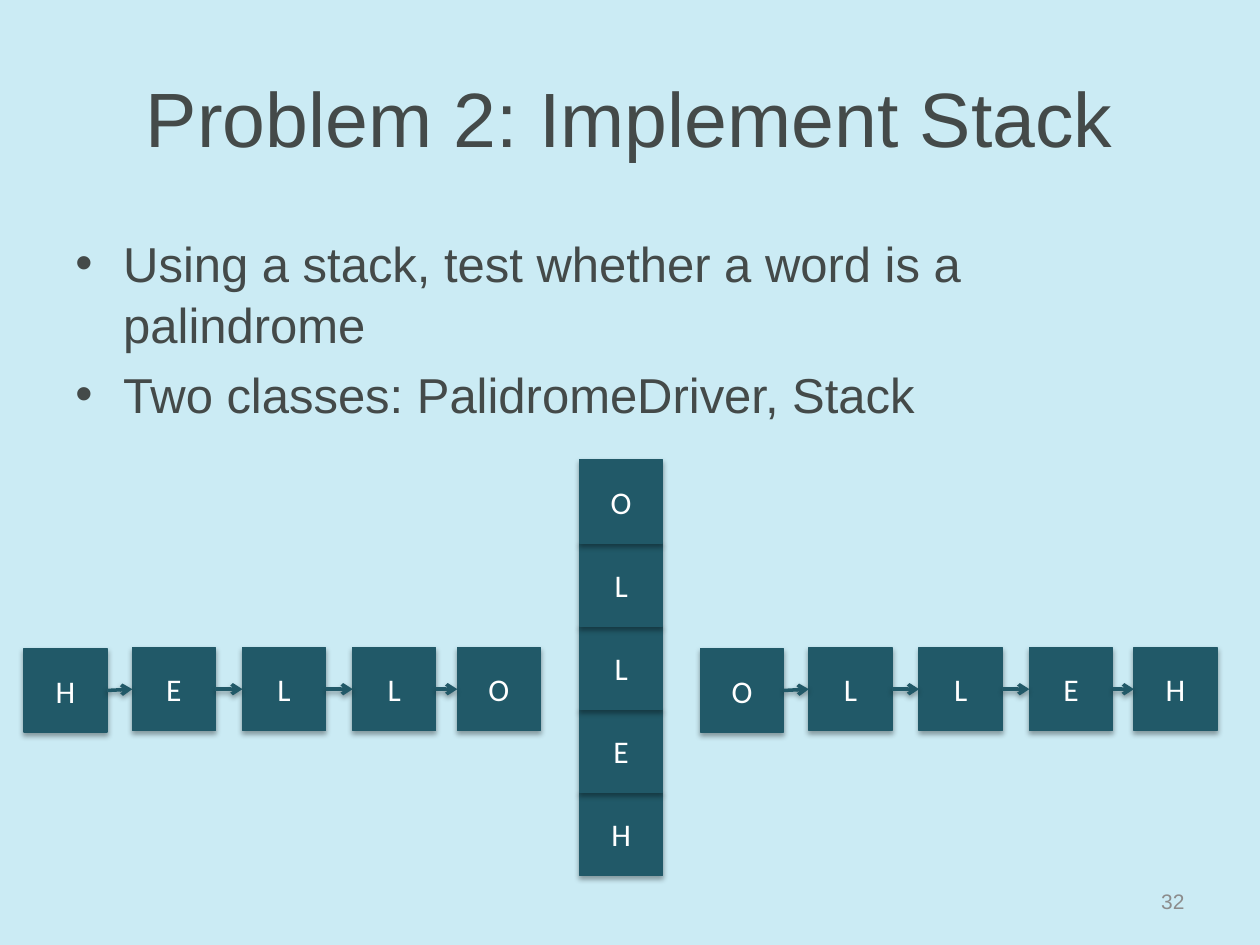
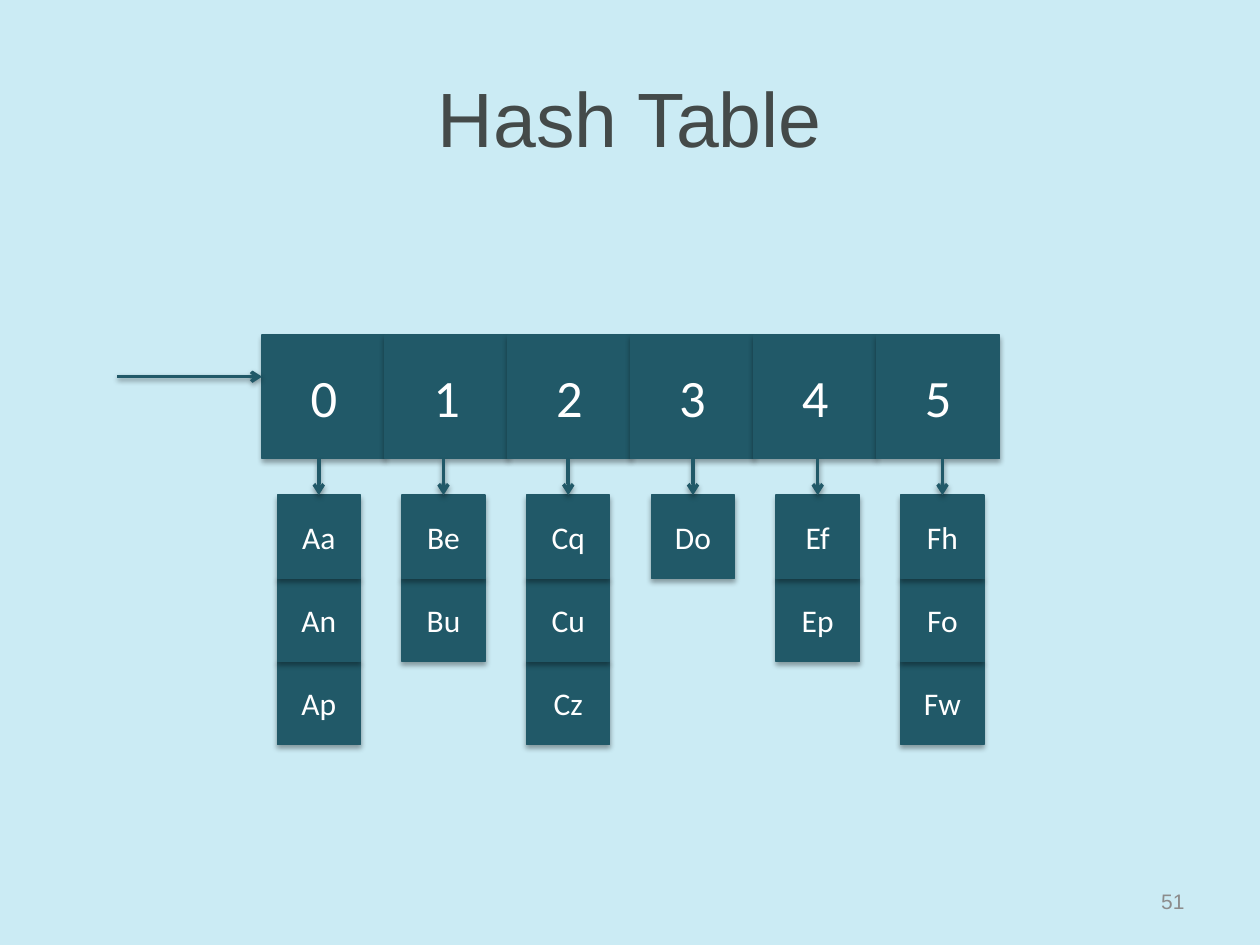
from dataclasses import dataclass
from itertools import pairwise

from lxml.etree import SubElement
from pptx import Presentation
from pptx.dml.color import RGBColor
from pptx.enum.shapes import MSO_CONNECTOR as Link, MSO_SHAPE as Form
from pptx.enum.text import MSO_ANCHOR as Anchor, PP_ALIGN as Align
from pptx.oxml.ns import qn
from pptx.shapes.autoshape import Shape
from pptx.slide import Slide
from pptx.text.text import TextFrame
from pptx.util import Inches, Pt

WIDE, HIGH = Inches(10), Inches(7.5)
COLS, ROWS = 100, 75
SKY, TEAL, INK, GREY, WHITE, BLACK = (
    "CBEBF4", "215968", "444A49", "8C8C8C", "FFFFFF", "000000")
SANS, BODY = "Arial", "Calibri"
SIDE = 6.6
TOP, LEFT, BOTTOM, RIGHT = range(4)


@dataclass(frozen=True)
class Area:
    col: float
    row: float
    cols: float
    rows: float

    def place(self) -> tuple[int, int, int, int]:
        return across(self.col), down(self.row), across(self.cols), down(self.rows)


@dataclass(frozen=True)
class Style:
    font: str
    size: float
    color: str
    align: Align


@dataclass(frozen=True)
class Shade:
    alpha: int
    blur: float
    drop: float


HEAD = Style(SANS, 44, INK, Align.CENTER)
POINT = Style(SANS, 28, INK, Align.LEFT)
FOOT = Style(SANS, 12, GREY, Align.RIGHT)
CELL = Style(BODY, 18, WHITE, Align.CENTER)
SLOT = Style(BODY, 30, WHITE, Align.CENTER)
BOX_SHADE = Shade(35, 3.1, 1.8)
LINE_SHADE = Shade(38, 3.1, 1.6)


def across(n: float) -> int:
    return round(WIDE * n / COLS)


def down(n: float) -> int:
    return round(HIGH * n / ROWS)


def rgb(code: str) -> RGBColor:
    return RGBColor.from_string(code)


def write(frame: TextFrame, lines: list[str], style: Style, dot: bool = False) -> None:
    frame.word_wrap = True
    for i, line in enumerate(lines):
        par = frame.add_paragraph() if i else frame.paragraphs[0]
        par.text = line
        par.alignment = style.align
        if dot:
            par.line_spacing = 1.03
            if i:
                par.space_before = Pt(style.size * 0.2)
            props = par._p.get_or_add_pPr()
            props.set("marL", str(Inches(0.38)))
            props.set("indent", str(-Inches(0.38)))
            SubElement(props, qn("a:buFont"), typeface=SANS)
            SubElement(props, qn("a:buChar"), char="•")
        par.font.name = style.font
        par.font.size = Pt(style.size)
        par.font.color.rgb = rgb(style.color)


def cast(props, shade: Shade) -> None:
    list_ = props.find(qn("a:effectLst"))
    if list_ is None:
        list_ = SubElement(props, qn("a:effectLst"))
    outer = SubElement(list_, qn("a:outerShdw"), blurRad=str(Pt(shade.blur)),
                       dist=str(Pt(shade.drop)), dir="5400000", rotWithShape="0")
    color = SubElement(outer, qn("a:srgbClr"), val=BLACK)
    SubElement(color, qn("a:alpha"), val=str(shade.alpha * 1000))


def block(slide: Slide, text: str, col: float, row: float,
          side: float = SIDE, style: Style = CELL) -> Shape:
    box = slide.shapes.add_shape(Form.RECTANGLE, *Area(col, row, side, side).place())
    box.fill.solid()
    box.fill.fore_color.rgb = rgb(TEAL)
    box.line.color.rgb = rgb(TEAL)
    box.line.width = Pt(0.75)
    box.shadow.inherit = False
    cast(box._element.spPr, BOX_SHADE)
    box.text_frame.vertical_anchor = Anchor.MIDDLE
    write(box.text_frame, [text], style)
    return box


def arrow(slide: Slide, start: tuple[int, int], end: tuple[int, int],
          kind: Link = Link.STRAIGHT):
    line = slide.shapes.add_connector(kind, *start, *end)
    line.line.color.rgb = rgb(TEAL)
    line.line.width = Pt(2)
    SubElement(line.line._get_or_add_ln(), qn("a:tailEnd"), type="arrow")
    cast(line._element.spPr, LINE_SHADE)
    return line


def join(slide: Slide, a: Shape, b: Shape) -> None:
    start = a.left + a.width, a.top + a.height // 2
    end = b.left, b.top + b.height // 2
    kind = Link.CURVE if start[1] == end[1] else Link.STRAIGHT
    line = arrow(slide, start, end, kind)
    line.begin_connect(a, RIGHT)
    line.end_connect(b, LEFT)


def chain(slide: Slide, word: str, col: float) -> None:
    steps = (0, 8.6, 17.35, 26.1, 34.4)
    boxes = [block(slide, char, col + step, 51.4 if step else 51.5)
             for char, step in zip(word, steps)]
    for a, b in pairwise(boxes):
        join(slide, a, b)


def pile(slide: Slide, items: list[str], col: float, row: float) -> Shape:
    for i, item in reversed(list(enumerate(items))):
        box = block(slide, item, col, row + i * SIDE)
    return box


def start(deck, title: str, page: str) -> Slide:
    slide = deck.slides.add_slide(deck.slide_layouts[5])
    slide.background.fill.solid()
    slide.background.fill.fore_color.rgb = rgb(SKY)
    head = slide.shapes.title
    foot = slide.shapes.add_textbox(*Area(71.7, 69.5, 23.3, 4).place())
    head.left, head.top, head.width, head.height = Area(5, 3, 90, 12.5).place()
    for shape, text, style in ((head, title, HEAD), (foot, page, FOOT)):
        shape.text_frame.vertical_anchor = Anchor.MIDDLE
        write(shape.text_frame, [text], style)
    return slide


def stack(deck) -> None:
    slide = start(deck, "Problem 2: Implement Stack", "32")
    body = slide.shapes.add_textbox(*Area(5, 17.5, 90, 17.4).place())
    body.text_frame.margin_top = Inches(0.09)
    write(body.text_frame, ["Using a stack, test whether a word is a palindrome",
                            "Two classes: PalidromeDriver, Stack"], POINT, dot=True)
    word = "HELLO"
    chain(slide, word, 1.9)
    pile(slide, list(word[::-1]), 46, 36.5)
    chain(slide, word[::-1], 55.6)


def table(deck) -> None:
    slide = start(deck, "Hash Table", "51")
    lists = (["Aa", "An", "Ap"], ["Be", "Bu"], ["Cq", "Cu", "Cz"],
             ["Do"], ["Ef", "Ep"], ["Fh", "Fo", "Fw"])
    left, top, side = 20.8, 26.6, 9.8
    for i in range(len(lists)):
        block(slide, str(i), left + i * 58.5 / len(lists), top, side, SLOT)
    arrow(slide, (across(9.3), down(29.9)), (across(left), down(29.9)))
    for i, items in enumerate(lists):
        first = pile(slide, items, 22 + i * 9.9, 39.3)
        mid = first.left + first.width // 2
        line = arrow(slide, (mid, down(top + side)), (mid, first.top))
        line.end_connect(first, TOP)


def main() -> None:
    deck = Presentation()
    deck.slide_width, deck.slide_height = WIDE, HIGH
    stack(deck)
    table(deck)
    deck.save("out.pptx")


if __name__ == "__main__":
    main()
